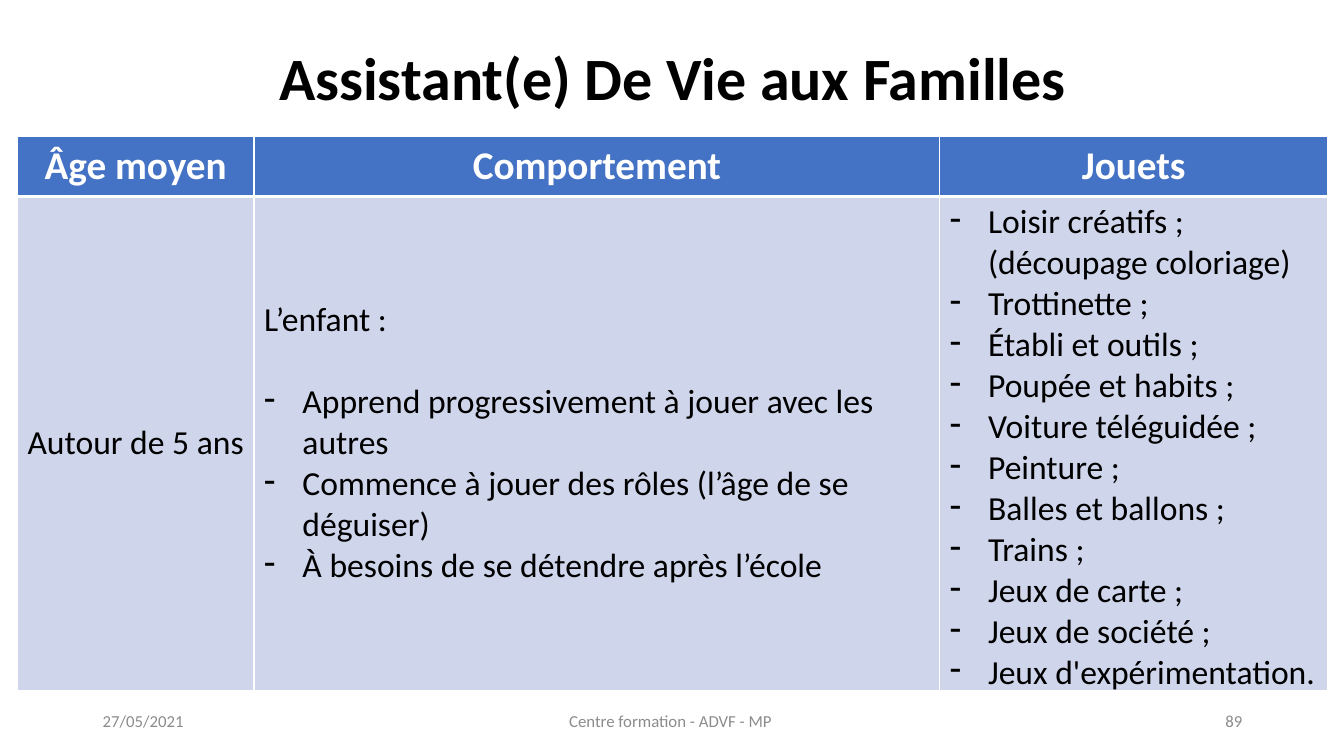
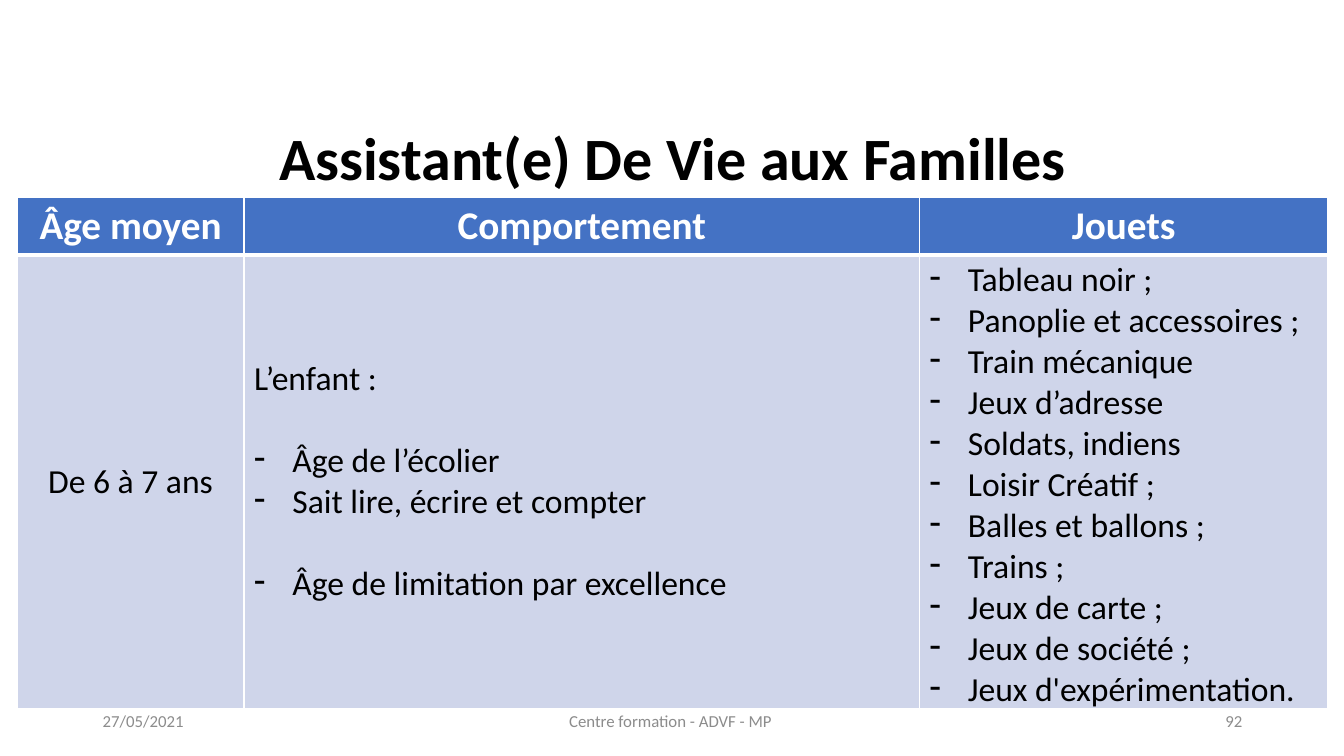
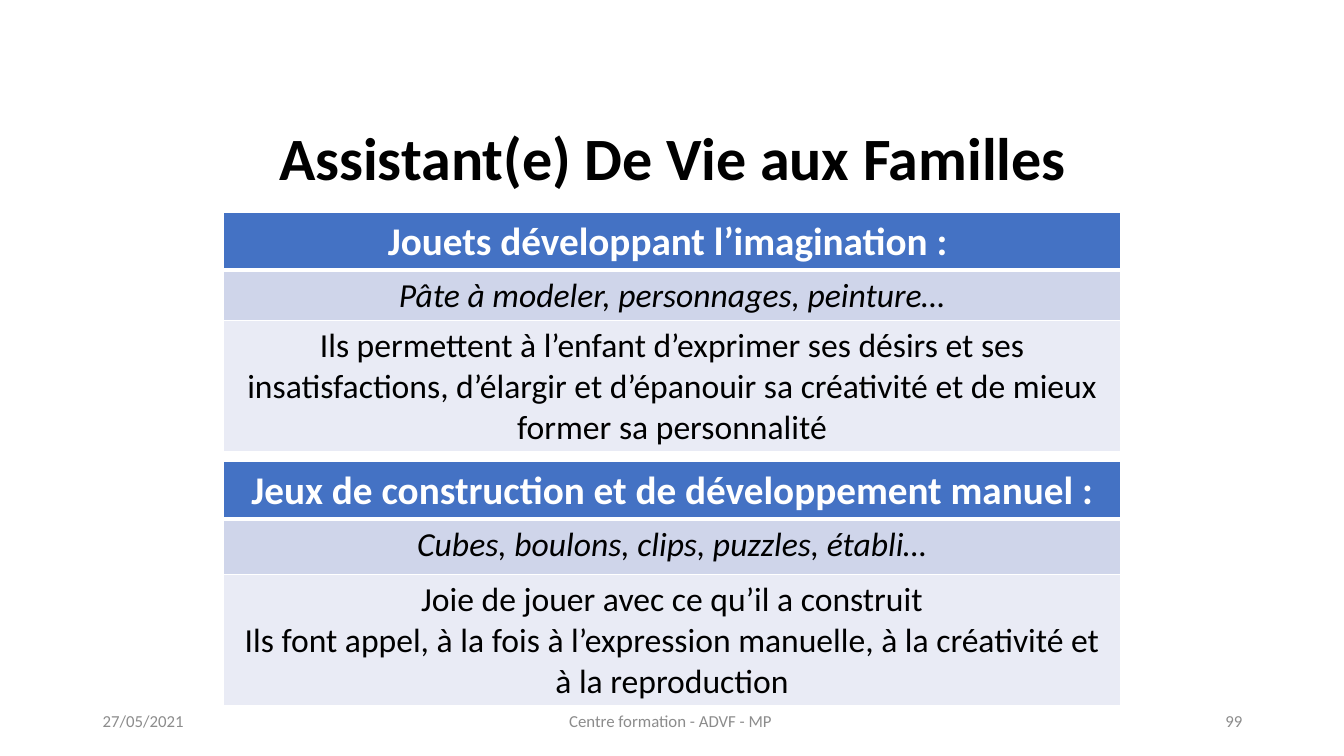
"""Build three slides on toys and behaviour by age, with shared title and footer."""
from lxml import etree
from pptx import Presentation
from pptx import util as u
from pptx.dml.color import RGBColor
from pptx.enum import text
from pptx.oxml.ns import qn

BLUE, PALE, PALER = "4472C4", "CFD5EA", "E9EBF5"
WHITE, BLACK, GREY = "FFFFFF", "000000", "8C8C8C"
LEFT, CENTER, RIGHT = text.PP_ALIGN.LEFT, text.PP_ALIGN.CENTER, text.PP_ALIGN.RIGHT
TOP, MIDDLE = text.MSO_ANCHOR.TOP, text.MSO_ANCHOR.MIDDLE

TITLE = "Assistant(e) De Vie aux Familles"
DATE = "27/05/2021"
FOOTER = "Centre formation - ADVF - MP "
HEADINGS = ["Âge moyen", "Comportement", "Jouets"]
LINE_GAP = 29.3

TITLE_FONT = {"name": "Calibri", "size": u.Pt(42.9), "bold": True}
FOOTER_FONT = {"name": "Calibri", "size": u.Pt(12)}
HEAD_FONT = {"name": "Calibri", "size": u.Pt(28), "bold": True}
BODY_FONT = {"name": "Calibri", "size": u.Pt(24), "bold": False}
ITALIC_FONT = {**BODY_FONT, "italic": True}

COMMON_TOYS = ["Balles et ballons ;", "Trains ;", "Jeux de carte ;",
               "Jeux de société ;", "Jeux d'expérimentation."]

AGE_SLIDES = [
    {
        "number": 89, "title_top": 0.43, "table_top": 1.35,
        "columns": [2.35, 6.8, 3.85], "rows": [0.6, 4.9],
        "age": "Autour de 5 ans",
        "behaviour": ["Apprend progressivement à jouer avec les autres",
                      "Commence à jouer des rôles (l’âge de se déguiser)",
                      "À besoins de se détendre après l’école"],
        "spaced": [0],
        "toys": ["Loisir créatifs ; (découpage coloriage)", "Trottinette ;",
                 "Établi et outils ;", "Poupée et habits ;",
                 "Voiture téléguidée ;", "Peinture ;"],
    },
    {
        "number": 92, "title_top": 1.23, "table_top": 1.96,
        "columns": [2.25, 6.7, 4.05], "rows": [0.57, 4.5],
        "age": "De 6 à 7 ans",
        "behaviour": ["Âge de l’écolier", "Sait lire, écrire et compter",
                      "Âge de limitation par excellence"],
        "spaced": [0, 2],
        "toys": ["Tableau noir ;", "Panoplie et accessoires ;", "Train mécanique",
                 "Jeux d’adresse", "Soldats, indiens", "Loisir Créatif ;"],
    },
]

TOY_SLIDE = {"number": 99, "title_top": 1.23}
TOY_TABLES = [
    {
        "top": 2.11, "rows": [0.57, 0.5, 1.3],
        "heading": "Jouets développant l’imagination : ",
        "examples": "Pâte à modeler, personnages, peinture…",
        "benefits": ["Ils permettent à l’enfant d’exprimer ses désirs et ses insatisfactions, "
                     "d’élargir et d’épanouir sa créativité et de mieux former sa personnalité"],
    },
    {
        "top": 4.58, "rows": [0.57, 0.55, 1.3],
        "heading": "Jeux de construction et de développement manuel :",
        "examples": "Cubes, boulons, clips, puzzles, établi…",
        "benefits": ["Joie de jouer avec ce qu’il a construit",
                     "Ils font appel, à la fois à l’expression manuelle, "
                     "à la créativité et à la reproduction"],
    },
]


def rgb(color):
    return RGBColor.from_string(color)


def bullet(para):
    props = para._p.get_or_add_pPr()
    props.set("marL", str(u.Inches(0.38)))
    props.set("indent", str(-u.Inches(0.38)))
    etree.SubElement(props, qn("a:buFontTx"))
    etree.SubElement(props, qn("a:buChar")).set("char", "-")


def write(frame, lines, font, color, align=LEFT, bullets=False, plain=(), gaps=()):
    """Write one paragraph per line; plain and gaps hold line indexes."""
    for index, line in enumerate(lines):
        para = frame.paragraphs[0] if index == 0 else frame.add_paragraph()
        para.alignment = align
        if bullets and index not in plain:
            bullet(para)
        if index in gaps:
            para.space_before = u.Pt(LINE_GAP)
        span = para.add_run()
        span.text = line
        for name, value in font.items():
            setattr(span.font, name, value)
        span.font.color.rgb = rgb(color)


def add_borders(cell, top, bottom):
    props = cell._tc.get_or_add_tcPr()
    for place, (side, points) in enumerate(
            [("lnL", 1), ("lnR", 1), ("lnT", top), ("lnB", bottom)]):
        line = etree.Element(qn("a:" + side), w=str(u.Pt(points)))
        fill = etree.SubElement(line, qn("a:solidFill"))
        etree.SubElement(fill, qn("a:srgbClr")).set("val", WHITE)
        props.insert(place, line)


def add_table(page, left, top, columns, rows, anchor):
    """Add a table with a blue header, banded body rows and white borders."""
    grid = page.shapes.add_table(
        len(rows), len(columns), u.Inches(left), u.Inches(top),
        u.Inches(sum(columns)), u.Inches(sum(rows))).table
    for column, width in zip(grid.columns, columns):
        column.width = u.Inches(width)
    for index, (row, height) in enumerate(zip(grid.rows, rows)):
        row.height = u.Inches(height)
        for cell in row.cells:
            cell.vertical_anchor = anchor
            cell.fill.solid()
            cell.fill.fore_color.rgb = rgb([BLUE, PALE, PALER][index])
            add_borders(cell, 3 if index == 1 else 1, 3 if index == 0 else 1)
    return grid


def add_page(deck, number, title_top):
    """Add a slide with the shared title and footer."""
    page = deck.slides.add_slide(deck.slide_layouts[5])
    title = page.shapes.title
    title.left, title.top, title.width, title.height = map(
        u.Inches, (1.67, title_top, 10, 1.23))
    frame = title.text_frame
    frame.word_wrap, frame.auto_size = True, text.MSO_AUTO_SIZE.NONE
    frame.vertical_anchor = TOP
    write(frame, [TITLE], TITLE_FONT, BLACK, CENTER)
    frame.paragraphs[0].line_spacing = 0.9
    for words, left, width, align in [(DATE, 0.92, 3, LEFT), (FOOTER, 3.94, 5.46, CENTER),
                                      (str(number), 9.42, 3, RIGHT)]:
        box = page.shapes.add_textbox(*map(u.Inches, (left, 6.95, width, 0.4)))
        box.text_frame.word_wrap = True
        box.text_frame.vertical_anchor = MIDDLE
        write(box.text_frame, [words], FOOTER_FONT, GREY, align)
    return page


def add_age_slide(deck, item):
    page = add_page(deck, item["number"], item["title_top"])
    grid = add_table(page, 0.17, item["table_top"], item["columns"], item["rows"], MIDDLE)
    for index, heading in enumerate(HEADINGS):
        write(grid.cell(0, index).text_frame, [heading], HEAD_FONT, WHITE, CENTER)
    age, behaviour, toys = (grid.cell(1, index).text_frame for index in range(3))
    write(age, [item["age"]], BODY_FONT, BLACK, CENTER)
    write(behaviour, ["L’enfant :"] + item["behaviour"], BODY_FONT, BLACK,
          bullets=True, plain=[0], gaps=[index + 1 for index in item["spaced"]])
    write(toys, item["toys"] + COMMON_TOYS, BODY_FONT, BLACK, bullets=True)


def add_toy_slide(deck):
    page = add_page(deck, **TOY_SLIDE)
    for item in TOY_TABLES:
        grid = add_table(page, 2.22, item["top"], [8.89], item["rows"], TOP)
        heading, examples, benefits = (grid.cell(index, 0).text_frame for index in range(3))
        write(heading, [item["heading"]], HEAD_FONT, WHITE, CENTER)
        write(examples, [item["examples"]], ITALIC_FONT, BLACK, CENTER)
        write(benefits, item["benefits"], BODY_FONT, BLACK, CENTER)


def main():
    deck = Presentation()
    deck.slide_width, deck.slide_height = u.Inches(13.33), u.Inches(7.5)
    for item in AGE_SLIDES:
        add_age_slide(deck, item)
    add_toy_slide(deck)
    deck.save("out.pptx")


if __name__ == "__main__":
    main()
